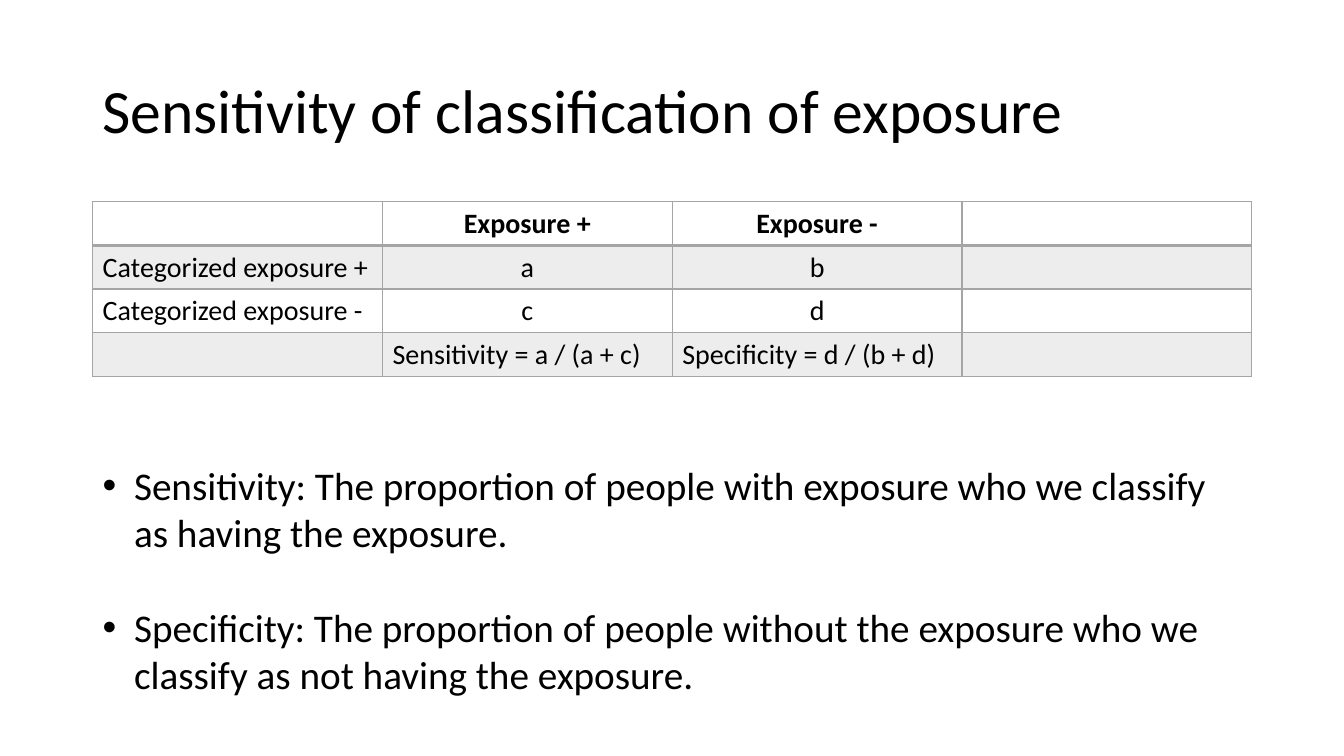
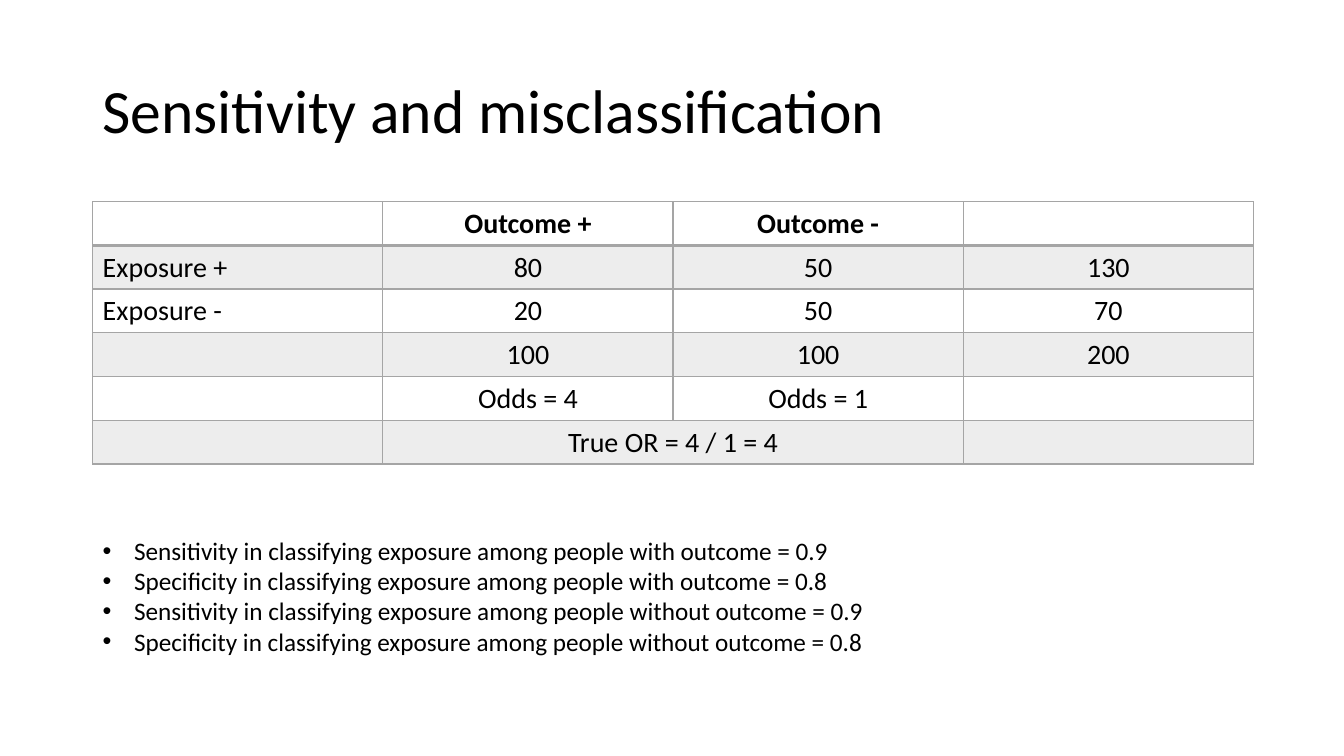
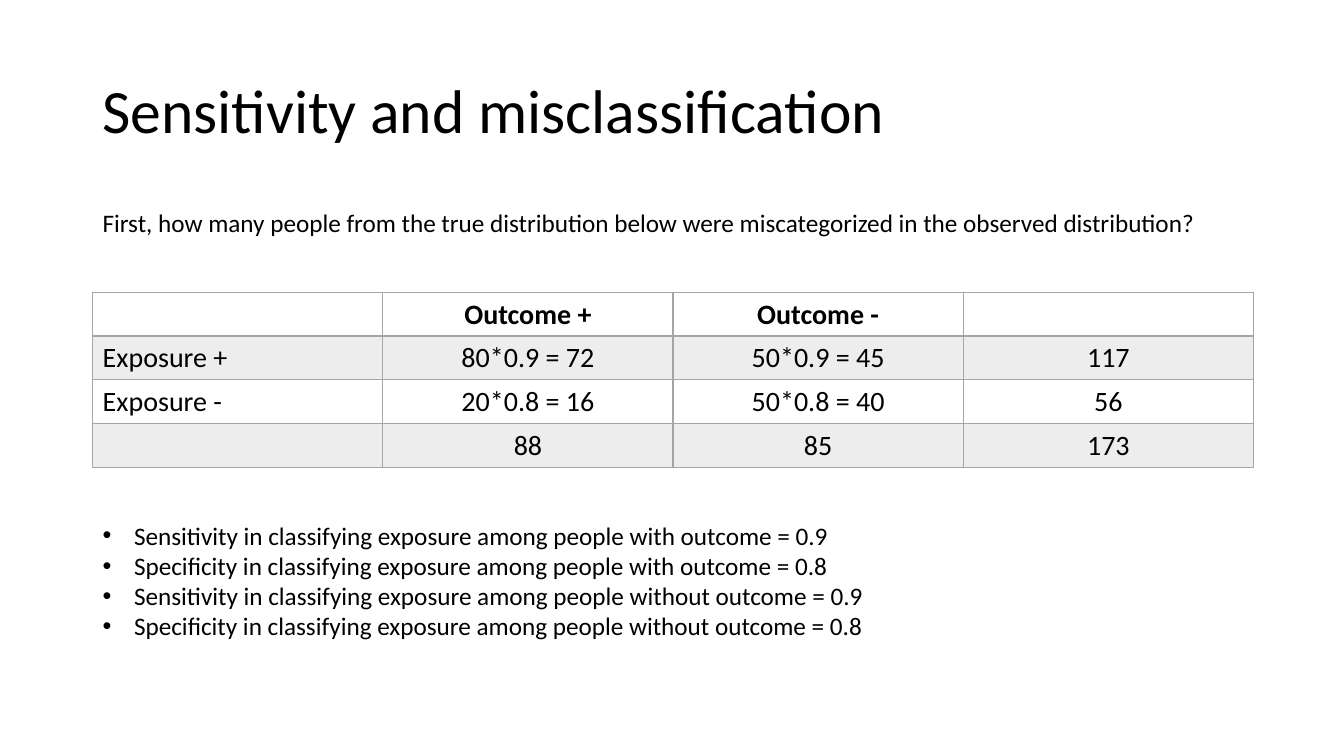
"""Build three slides on the sensitivity and misclassification of exposure."""
from dataclasses import dataclass

import lxml.etree
import pptx
import pptx.dml.color
import pptx.enum.text
import pptx.oxml.ns
import pptx.util

Pt = pptx.util.Pt
qn = pptx.oxml.ns.qn
RGB = pptx.dml.color.RGBColor.from_string
ALIGN = pptx.enum.text.PP_ALIGN
ANCHOR = pptx.enum.text.MSO_ANCHOR


@dataclass(frozen=True)
class Theme:
    font: str = "Calibri"
    bullet_font: str = "Arial"
    ink: str = "000000"
    paper: str = "FFFFFF"
    band: str = "EDEDED"
    grid: str = "A5A5A5"
    title_size: float = 44
    large_size: float = 28
    table_size: float = 20
    body_size: float = 18
    left: float = 66.2
    width: float = 828
    wide_width: float = 829.2
    table_top: float = 144
    row_height: float = 31.2
    indent: float = 22.5
    thin: float = 1
    thick: float = 2


THEME = Theme()

RATES = [
    "Sensitivity in classifying exposure among people with outcome = 0.9",
    "Specificity in classifying exposure among people with outcome = 0.8",
    "Sensitivity in classifying exposure among people without outcome = 0.9",
    "Specificity in classifying exposure among people without outcome = 0.8",
]


def style_runs(p, size, bold=False):
    for r in p.runs:
        r.font.name = THEME.font
        r.font.size = Pt(size)
        r.font.bold = bold
        r.font.color.rgb = RGB(THEME.ink)


def add_bullet(p):
    pPr = p._p.get_or_add_pPr()
    pPr.set("marL", str(Pt(THEME.indent)))
    pPr.set("indent", str(-Pt(THEME.indent)))
    lxml.etree.SubElement(pPr, qn("a:buFont"), typeface=THEME.bullet_font)
    lxml.etree.SubElement(pPr, qn("a:buChar"), char="•")


def add_text(s, top, height, lines, size, width=THEME.width, bullets=False, gap=0):
    sp = s.shapes.add_textbox(Pt(THEME.left), Pt(top), Pt(width), Pt(height))
    tf = sp.text_frame
    tf.word_wrap = True
    tf.text = "\n".join(lines)
    for i, p in enumerate(tf.paragraphs):
        if bullets:
            add_bullet(p)
        if i and gap:
            p.space_before = Pt(gap)
        style_runs(p, size)
    return tf


def add_title_slide(prs, title):
    s = prs.slides.add_slide(prs.slide_layouts[6])
    tf = add_text(s, 28.8, 104.4, [title], THEME.title_size)
    tf.vertical_anchor = ANCHOR.MIDDLE
    tf.paragraphs[0].line_spacing = 0.9
    return s


def set_borders(cell, top, bottom):
    tcPr = cell._tc.get_or_add_tcPr()
    widths = {"L": THEME.thin, "R": THEME.thin, "T": top, "B": bottom}
    for side, width in widths.items():
        ln = lxml.etree.SubElement(tcPr, qn(f"a:ln{side}"), w=str(Pt(width)))
        fill = lxml.etree.SubElement(ln, qn("a:solidFill"))
        lxml.etree.SubElement(fill, qn("a:srgbClr"), val=THEME.grid)


def format_cell(cell, row, text, centred):
    set_borders(
        cell,
        THEME.thick if row == 1 else THEME.thin,
        THEME.thick if row == 0 else THEME.thin,
    )
    cell.fill.solid()
    cell.fill.fore_color.rgb = RGB(THEME.band if row % 2 else THEME.paper)
    cell.text_frame.text = text
    p = cell.text_frame.paragraphs[0]
    p.alignment = ALIGN.CENTER if centred else ALIGN.LEFT
    style_runs(p, THEME.table_size, bold=row == 0)


def add_grid(s, top, rows, width=THEME.wide_width, left_cells=(), merge=None):
    columns = len(rows[0])
    frame = s.shapes.add_table(
        len(rows), columns, Pt(THEME.left), Pt(top),
        Pt(width), Pt(THEME.row_height * len(rows)),
    )
    table = frame.table
    table.first_row = table.horz_banding = False
    for column in table.columns:
        column.width = Pt(width / columns)
    for row in table.rows:
        row.height = Pt(THEME.row_height)
    for i, values in enumerate(rows):
        for j, text in enumerate(values):
            centred = j > 0 and (i, j) not in left_cells
            format_cell(table.cell(i, j), i, text, centred)
    if merge:
        first, last = merge
        table.cell(*first).merge(table.cell(*last))


def add_definitions(prs):
    s = add_title_slide(prs, "Sensitivity of classification of exposure")
    rows = [
        ["", "Exposure +", "Exposure -", ""],
        ["Categorized exposure +", "a", "b", ""],
        ["Categorized exposure -", "c", "d", ""],
        ["", "Sensitivity = a / (a + c)", "Specificity = d / (b + d)", ""],
    ]
    add_grid(s, THEME.table_top, rows, THEME.width, left_cells=((3, 1), (3, 2)))
    definitions = [
        "Sensitivity: The proportion of people with exposure who we classify "
        "as having the exposure.",
        "Specificity: The proportion of people without the exposure who we "
        "classify as not having the exposure.",
    ]
    add_text(s, 326.2, 177.1, definitions, THEME.large_size, bullets=True, gap=34)


def add_true_distribution(prs):
    s = add_title_slide(prs, "Sensitivity and misclassification")
    rows = [
        ["", "Outcome +", "Outcome -", ""],
        ["Exposure +", "80", "50", "130"],
        ["Exposure -", "20", "50", "70"],
        ["", "100", "100", "200"],
        ["", "Odds = 4", "Odds = 1", ""],
        ["", "True OR = 4 / 1 = 4", "", ""],
    ]
    add_grid(s, THEME.table_top, rows, merge=((5, 1), (5, 2)))
    add_text(s, 378.7, 94.3, RATES, THEME.body_size, bullets=True)


def add_observed_distribution(prs):
    s = add_title_slide(prs, "Sensitivity and misclassification")
    rows = [
        ["", "Outcome +", "Outcome -", ""],
        ["Exposure +", "80*0.9 = 72", "50*0.9 = 45", "117"],
        ["Exposure -", "20*0.8 = 16", "50*0.8 = 40", "56"],
        ["", "88", "85", "173"],
    ]
    add_grid(s, 208.8, rows)
    add_text(s, 367.9, 94.3, RATES, THEME.body_size, bullets=True)
    question = (
        "First, how many people from the true distribution below were "
        "miscategorized in the observed distribution?"
    )
    add_text(s, 144.7, 29, [question], THEME.body_size, THEME.wide_width)


def main():
    prs = pptx.Presentation()
    prs.slide_width, prs.slide_height = Pt(960), Pt(540)
    add_definitions(prs)
    add_true_distribution(prs)
    add_observed_distribution(prs)
    prs.save("out.pptx")


if __name__ == "__main__":
    main()
